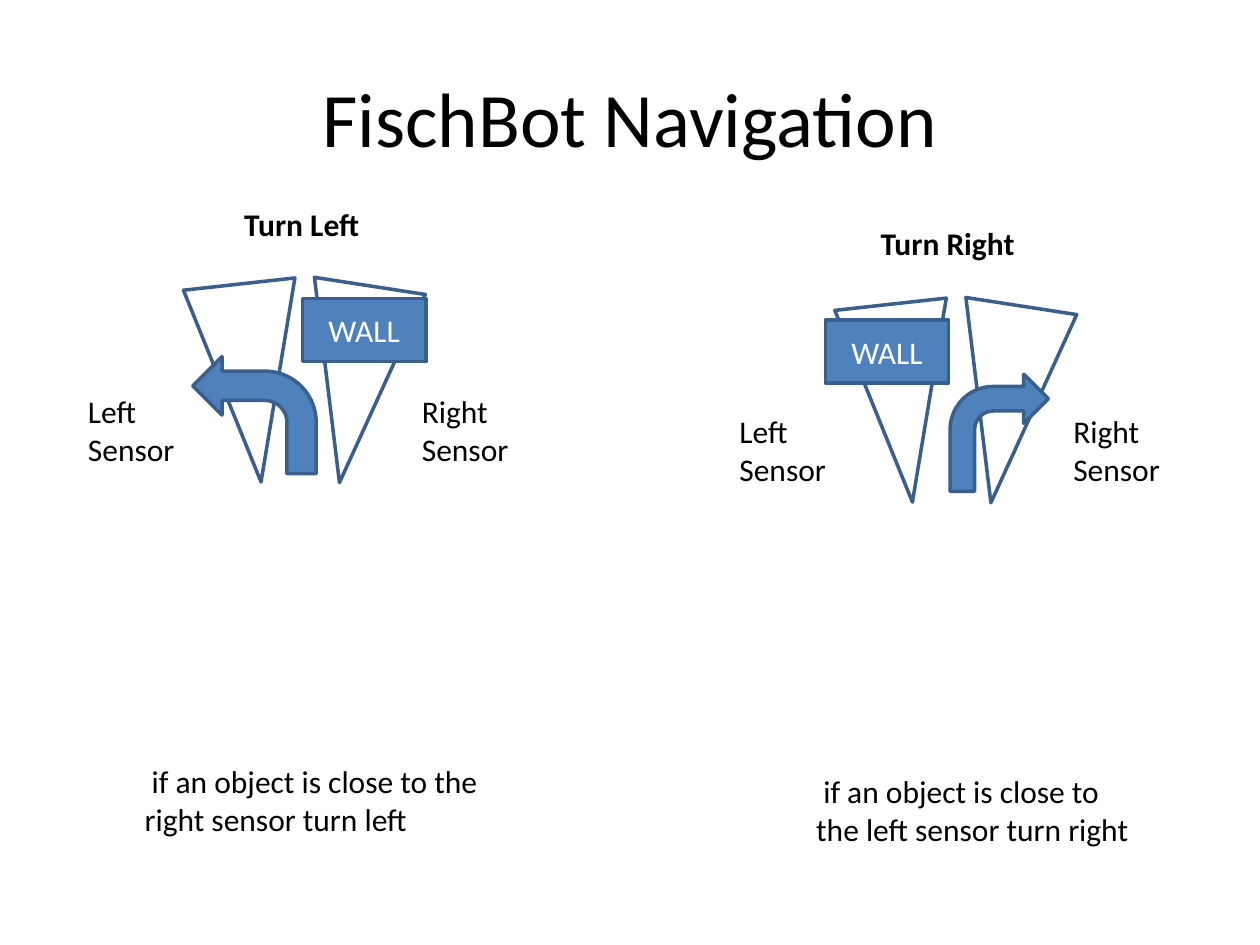
from dataclasses import dataclass

from pptx import Presentation
from pptx.dml.color import RGBColor
from pptx.enum.shapes import MSO_SHAPE
from pptx.enum.text import MSO_ANCHOR, PP_ALIGN
from pptx.util import Emu, Pt

PX = 9144  # 100 px to the inch
COLORS = {"ink": "000000", "fill": "4F81BD", "edge": "3A5F8C", "white": "FFFFFF"}


@dataclass(frozen=True)
class Box:
    x: int
    y: int
    w: int
    h: int

    def emu(self) -> list[Emu]:
        return [Emu(n * PX) for n in (self.x, self.y, self.w, self.h)]


@dataclass(frozen=True)
class Panel:
    x: int
    y: int
    head: str
    head_box: Box
    wall: Box
    arrow: Box
    flip: bool
    note: str
    note_box: Box


PANELS = [
    Panel(60, 225, "Turn Left", Box(184, 158, 113, 40), Box(240, 237, 98, 50),
          Box(153, 283, 98, 93), True,
          " if an object is close to the right sensor turn left",
          Box(105, 600, 313, 71)),
    Panel(577, 241, "Turn Right", Box(689, 173, 127, 40), Box(655, 254, 98, 50),
          Box(754, 297, 78, 93), False,
          " if an object is close to the left sensor turn right",
          Box(638, 608, 270, 71)),
]


def rgb(name: str) -> RGBColor:
    return RGBColor.from_string(COLORS[name])


def write(shape, text: str, size=18, color="ink", bold=False,
          align=PP_ALIGN.LEFT, anchor=MSO_ANCHOR.TOP, wrap=True) -> None:
    """Fill a shape with text, one paragraph a line."""
    frame = shape.text_frame
    frame.text = text
    frame.word_wrap = wrap
    frame.vertical_anchor = anchor
    for para in frame.paragraphs:
        para.alignment = align
        font = para.font
        font.name, font.size, font.bold = "Calibri", Pt(size), bold
        font.color.rgb = rgb(color)


def label(slide, box: Box, text: str, **form) -> None:
    write(slide.shapes.add_textbox(*box.emu()), text, **form)


def draw(slide, kind: MSO_SHAPE, box: Box, fill=True, turn=0.0):
    shape = slide.shapes.add_shape(kind, *box.emu())
    shape.shadow.inherit = False
    shape.rotation = turn
    if fill:
        shape.fill.solid()
        shape.fill.fore_color.rgb = rgb("fill")
    else:
        shape.fill.background()
    shape.line.color.rgb = rgb("edge")
    shape.line.width = Pt(2)
    return shape


def add_panel(slide, panel: Panel) -> None:
    for dx, dy, turn in ((177, 1, 188.8), (94, 0, 173.7)):
        box = Box(panel.x + dx, panel.y + dy, 89, 158)
        draw(slide, MSO_SHAPE.ISOSCELES_TRIANGLE, box, fill=False, turn=turn)
    for dx, side in ((0, "Left"), (265, "Right")):
        box = Box(panel.x + dx, panel.y + 81, 90, 71)
        label(slide, box, f"{side}\nSensor", wrap=False)
    wall = draw(slide, MSO_SHAPE.RECTANGLE, panel.wall)
    write(wall, "WALL", color="white", align=PP_ALIGN.CENTER,
          anchor=MSO_ANCHOR.MIDDLE)
    arrow = draw(slide, MSO_SHAPE.BENT_ARROW, panel.arrow)
    if panel.flip:
        arrow.element.spPr.xfrm.set("flipH", "1")
    label(slide, panel.head_box, panel.head, bold=True, wrap=False)
    label(slide, panel.note_box, panel.note)


def main() -> None:
    deck = Presentation()
    deck.slide_width, deck.slide_height = Emu(1000 * PX), Emu(750 * PX)
    slide = deck.slides.add_slide(deck.slide_layouts[6])
    label(slide, Box(50, 30, 900, 125), "FischBot Navigation", size=44,
          align=PP_ALIGN.CENTER, anchor=MSO_ANCHOR.MIDDLE)
    for panel in PANELS:
        add_panel(slide, panel)
    deck.save("out.pptx")


if __name__ == "__main__":
    main()
